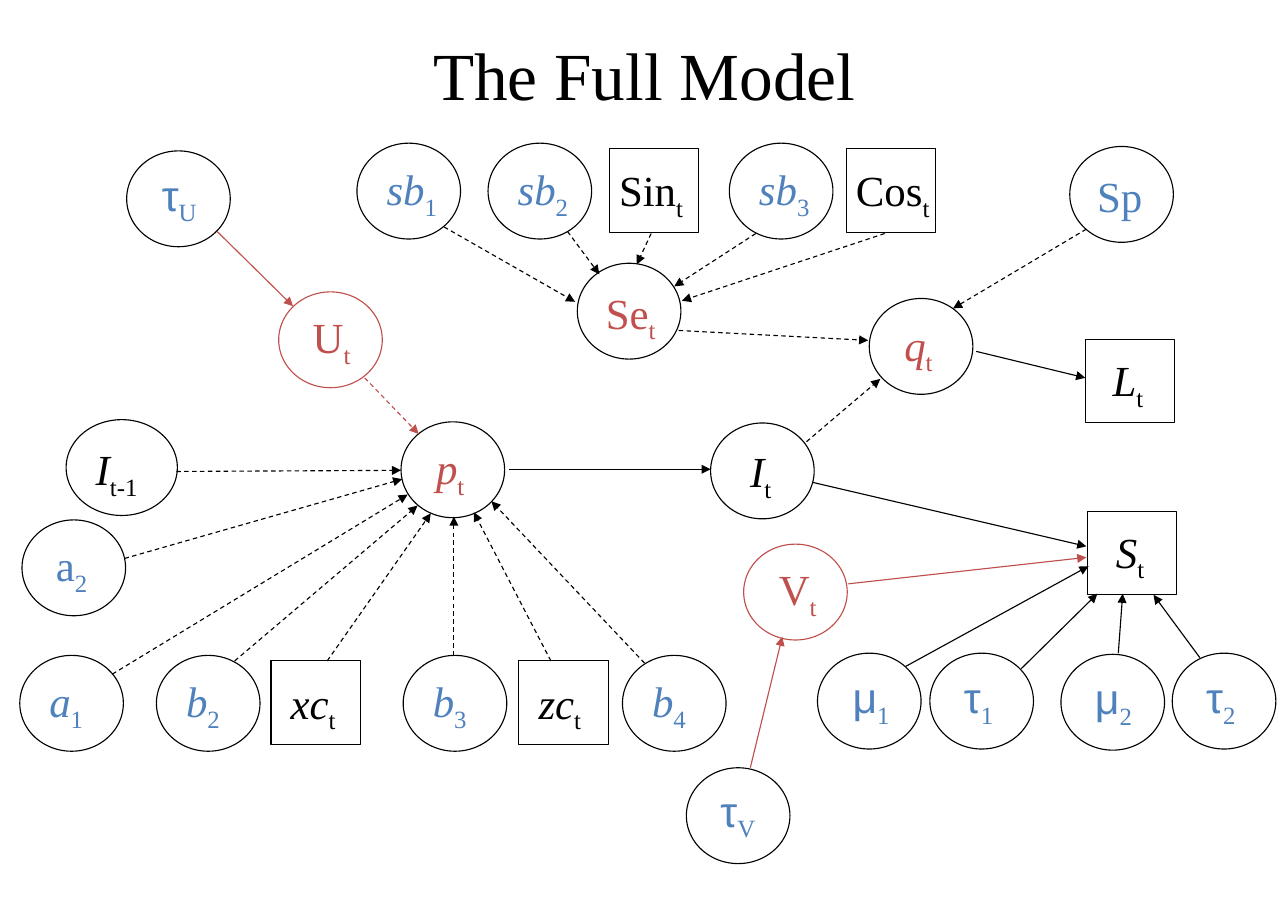
from pptx import Presentation
from pptx.dml.color import RGBColor
from pptx.enum.dml import MSO_LINE
from pptx.enum.shapes import MSO_CONNECTOR, MSO_SHAPE
from pptx.enum.text import MSO_ANCHOR, MSO_AUTO_SIZE, PP_ALIGN
from pptx.oxml.ns import qn
from pptx.util import Inches, Pt
from lxml.etree import SubElement

TITLE = "The Full Model"
SERIF, GREEK = "Times New Roman", "Arial"
COLORS = {"data": "000000", "parameter": "4F81BD", "latent": "C0504D"}
CIRCLE_SIZE, BOX_SIZE, LAG_SIZE = (0.94, 0.87), (0.81, 0.76), (1.01, 0.87)
LABEL_HEIGHT = 0.57

# Variables: symbol, subscript, italic, role, node (left, top), label (left, top, width)
CIRCLES = [
    ("U", "t", False, "latent", (2.53, 2.65), (2.74, 2.77, 0.56)),
    ("τ", "U", False, "parameter", (1.15, 1.37), (1.37, 1.48, 0.56)),
    ("τ", "V", False, "parameter", (6.23, 6.97), (6.44, 7.07, 0.56)),
    ("V", "t", False, "latent", (6.75, 4.94), (6.97, 5.06, 0.56)),
    ("I", "t", True, "data", (6.45, 3.84), (6.71, 3.99, 0.4)),
    ("p", "t", True, "latent", (3.64, 3.83), (3.86, 3.96, 0.47)),
    ("sb", "1", True, "parameter", (3.24, 1.3), (3.41, 1.43, 0.68)),
    ("sb", "2", True, "parameter", (4.43, 1.3), (4.6, 1.43, 0.68)),
    ("sb", "3", True, "parameter", (6.62, 1.3), (6.79, 1.43, 0.68)),
    ("Se", "t", False, "latent", (5.24, 2.39), (5.4, 2.55, 0.66)),
    ("q", "t", True, "latent", (7.89, 2.71), (8.11, 2.84, 0.47)),
    ("Sp", "", False, "parameter", (9.71, 1.33), (9.86, 1.49, 0.61)),
    ("a", "1", True, "parameter", (0.18, 5.95), (0.35, 6.08, 0.53)),
    ("a", "2", False, "parameter", (0.2, 4.72), (0.41, 4.84, 0.51)),
    ("b", "2", True, "parameter", (1.42, 5.95), (1.59, 6.08, 0.53)),
    ("b", "3", True, "parameter", (3.66, 5.95), (3.83, 6.08, 0.53)),
    ("b", "4", True, "parameter", (5.65, 5.95), (5.82, 6.08, 0.53)),
    ("μ", "1", False, "parameter", (7.42, 5.93), (7.64, 6.04, 0.56)),
    ("τ", "1", False, "parameter", (8.44, 5.93), (8.65, 6.04, 0.5)),
    ("μ", "2", False, "parameter", (9.63, 5.94), (9.84, 6.05, 0.56)),
    ("τ", "2", False, "parameter", (10.64, 5.93), (10.85, 6.04, 0.5)),
]
LAGGED = [("I", "t-1", True, "data", (0.6, 3.81), (0.77, 3.97, 0.62))]
BOXES = [
    ("L", "t", True, "data", (9.85, 3.08), (10, 3.16, 0.49)),
    ("S", "t", True, "data", (9.87, 4.64), (10.03, 4.72, 0.47)),
    ("Sin", "t", False, "data", (5.53, 1.35), (5.52, 1.44, 0.79)),
    ("Cos", "t", False, "data", (7.68, 1.35), (7.67, 1.44, 0.88)),
    ("xc", "t", True, "data", (2.46, 6), (2.54, 6.09, 0.62)),
    ("zc", "t", True, "data", (4.71, 6), (4.79, 6.09, 0.6)),
]
RED_OUTLINES = ("U", "V")

# Arrows: start x, start y, end x, end y
DETERMINISTIC = [
    # into p
    (1.6, 4.28, 3.64, 4.27), (1.13, 5.07, 3.65, 4.35), (1.02, 6.12, 3.7, 4.49),
    (2.13, 6, 3.79, 4.59), (2.97, 6, 3.91, 4.66), (4.12, 5.95, 4.12, 4.69),
    (5, 6, 4.3, 4.65), (5.85, 6.02, 4.46, 4.55),
    # into Se
    (4.03, 2.06, 5.22, 2.74), (5.15, 2.1, 5.44, 2.49), (5.91, 2.12, 5.78, 2.4),
    (6.86, 2.12, 6.12, 2.6), (8.03, 2.12, 6.19, 2.73),
    # into q
    (6.16, 3, 7.88, 3.09), (9.86, 2.08, 8.65, 2.8), (7.32, 4.01, 7.99, 3.44),
]
STOCHASTIC = [
    # into I and L
    (4.62, 4.26, 6.45, 4.26), (8.86, 3.19, 9.85, 3.43),
    # into S
    (7.38, 4.38, 9.86, 4.96), (8.22, 6.05, 9.88, 5.14), (9.27, 6.07, 9.96, 5.39),
    (10.15, 5.93, 10.19, 5.39), (10.89, 5.97, 10.47, 5.4),
]
EFFECT_DETERMINISTIC = [(3.31, 3.43, 3.8, 3.94)]
EFFECT_STOCHASTIC = [
    (1.97, 2.1, 2.66, 2.78), (6.81, 6.97, 7.1, 5.78), (7.7, 5.3, 9.86, 5.06),
]


def color(role):
    return RGBColor.from_string(COLORS[role])


def add_run(paragraph, text, size, font, role, italic=False, subscript=False):
    run = paragraph.add_run()
    run.text = text
    run.font.size = Pt(size)
    run.font.name = font
    run.font.italic = italic
    run.font.color.rgb = color(role)
    if subscript:
        run.font._element.set("baseline", "-25000")


def add_variable(slide, outline, size, variable):
    symbol, subscript, italic, role, corner, label_place = variable
    node = slide.shapes.add_shape(outline, *map(Inches, corner + size))
    node.shadow.inherit = False
    node.fill.background()
    node.line.color.rgb = color("latent" if symbol in RED_OUTLINES else "data")
    node.line.width = Pt(0.75)

    label = slide.shapes.add_textbox(*map(Inches, label_place + (LABEL_HEIGHT,)))
    label.text_frame.word_wrap = False
    label.text_frame.auto_size = MSO_AUTO_SIZE.SHAPE_TO_FIT_TEXT
    paragraph = label.text_frame.paragraphs[0]
    add_run(paragraph, symbol, 28, GREEK if symbol in "τμ" else SERIF, role, italic)
    if subscript:
        add_run(paragraph, subscript, 28, SERIF, role, subscript=True)


def add_arrow(slide, ends, role, dashed):
    arrow = slide.shapes.add_connector(MSO_CONNECTOR.STRAIGHT, *map(Inches, ends))
    arrow.line.color.rgb = color(role)
    arrow.line.width = Pt(0.75)
    if dashed:
        arrow.line.dash_style = MSO_LINE.DASH
    head = SubElement(arrow.line._get_or_add_ln(), qn("a:tailEnd"))
    for key, value in (("type", "triangle"), ("w", "med"), ("len", "med")):
        head.set(key, value)
    SubElement(arrow._element.spPr, qn("a:effectLst"))


def main():
    deck = Presentation()
    deck.slide_width, deck.slide_height = Inches(11.69), Inches(8.27)
    slide = deck.slides.add_slide(deck.slide_layouts[5])

    # Title
    title = slide.shapes.title
    title.left, title.top, title.width, title.height = map(
        Inches, (0.59, 0.33, 10.52, 0.68))
    title.text_frame.vertical_anchor = MSO_ANCHOR.MIDDLE
    heading = title.text_frame.paragraphs[0]
    heading.alignment = PP_ALIGN.CENTER
    add_run(heading, TITLE, 44, SERIF, "data")

    # Variables
    for outline, size, variables in (
        (MSO_SHAPE.OVAL, CIRCLE_SIZE, CIRCLES),
        (MSO_SHAPE.OVAL, LAG_SIZE, LAGGED),
        (MSO_SHAPE.RECTANGLE, BOX_SIZE, BOXES),
    ):
        for variable in variables:
            add_variable(slide, outline, size, variable)

    # Dependencies
    for arrows, role, dashed in (
        (DETERMINISTIC, "data", True),
        (STOCHASTIC, "data", False),
        (EFFECT_DETERMINISTIC, "latent", True),
        (EFFECT_STOCHASTIC, "latent", False),
    ):
        for ends in arrows:
            add_arrow(slide, ends, role, dashed)

    deck.save("out.pptx")


if __name__ == "__main__":
    main()
